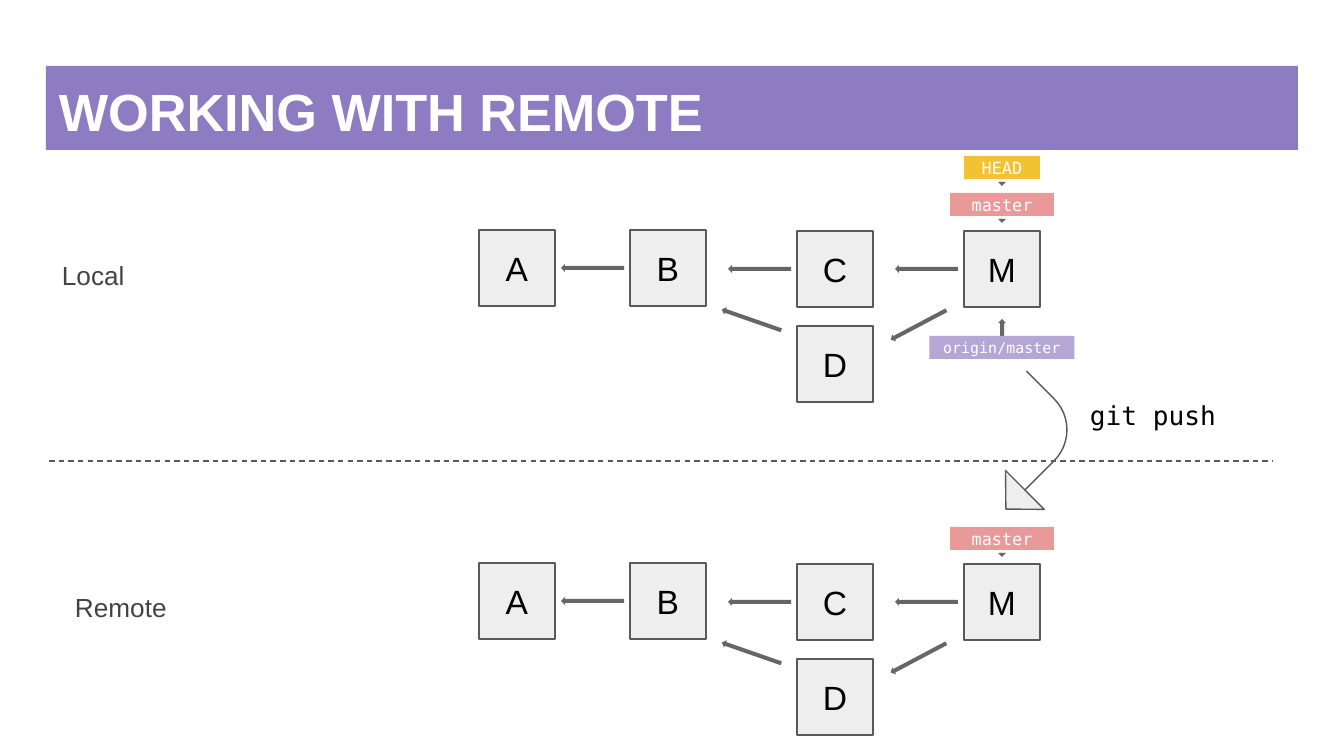
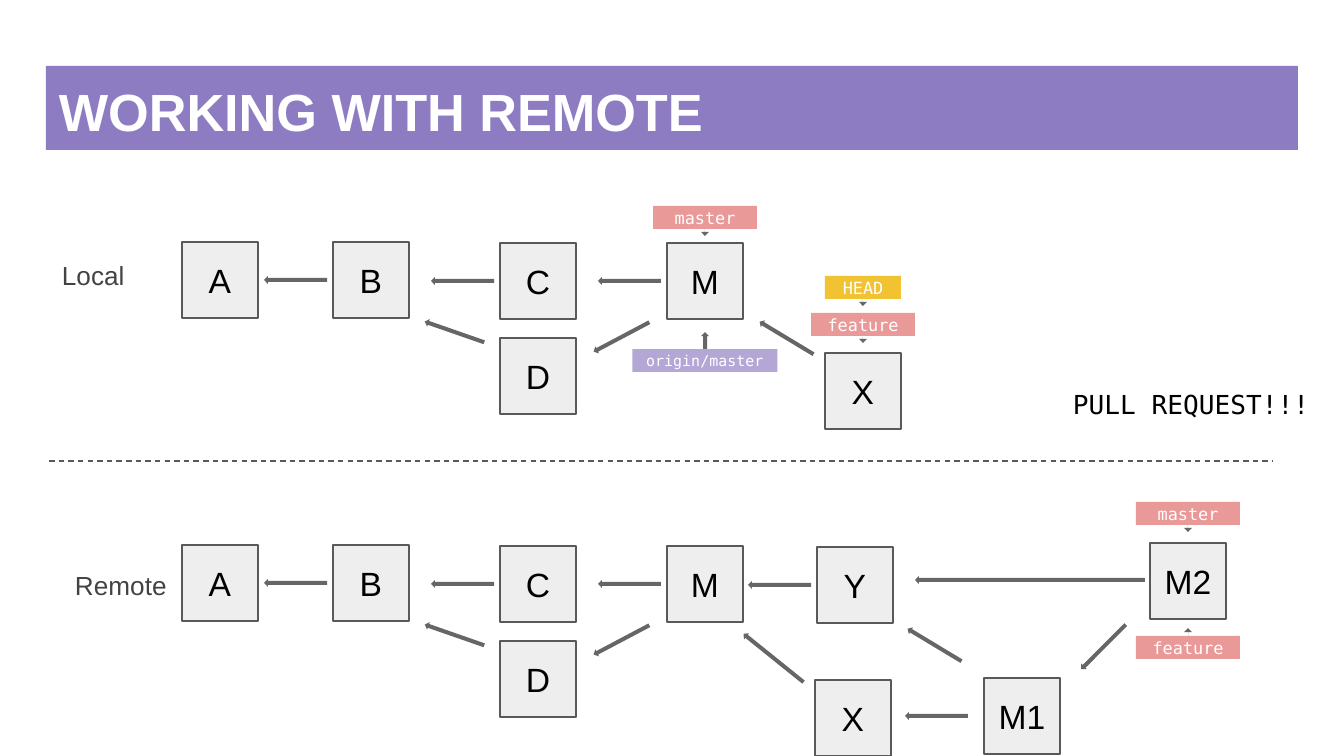
from lxml import etree
from pptx import Presentation
from pptx import util as u
from pptx.dml.color import RGBColor
from pptx.enum import dml, shapes, text
from pptx.oxml.ns import qn

# Shared look
PURPLE = RGBColor(0x8E, 0x7C, 0xC3)
LILAC = RGBColor(0xB4, 0xA7, 0xD6)
PINK = RGBColor(0xEA, 0x99, 0x99)
YELLOW = RGBColor(0xF1, 0xC2, 0x32)
PALE = RGBColor(0xEE, 0xEE, 0xEE)
OUTLINE = RGBColor(0x59, 0x59, 0x59)
ARROW = RGBColor(0x66, 0x66, 0x66)
DARK = RGBColor(0x43, 0x43, 0x43)
BLACK = RGBColor(0, 0, 0)
WHITE = RGBColor(0xFF, 0xFF, 0xFF)
SANS, MONO = "Arial", "DejaVu Sans Mono"

SCALE = 914400 / 134.4  # EMU per pixel
INSET = 13
COMMIT = 76             # side of a commit box
LABEL_HEIGHT = 23
ARROW_WIDTH = 8
ARROW_LENGTH = 63
POINTER_LENGTH = 17
LABEL_STEP = 37         # from one stacked label to the next


def px(length):
    return u.Emu(round(length * SCALE))


# Basic parts
def write(shape, words, size, font, color, bold=False, centred=False):
    frame = shape.text_frame
    frame.word_wrap = True
    frame.margin_left = frame.margin_right = px(INSET)
    frame.margin_top = frame.margin_bottom = px(INSET)
    middle, top = text.MSO_ANCHOR.MIDDLE, text.MSO_ANCHOR.TOP
    frame.vertical_anchor = middle if centred else top
    paragraph = frame.paragraphs[0]
    paragraph.alignment = text.PP_ALIGN.CENTER if centred else text.PP_ALIGN.LEFT
    run = paragraph.add_run()
    run.text = words
    run.font.size = u.Pt(size)
    run.font.name = font
    run.font.bold = bold
    run.font.color.rgb = color


def add_shape(slide, kind, left, top, width, height, fill, outlined=False):
    shape = slide.shapes.add_shape(kind, px(left), px(top), px(width), px(height))
    shape.shadow.inherit = False
    shape.fill.solid()
    shape.fill.fore_color.rgb = fill
    if outlined:
        shape.line.color.rgb = OUTLINE
        shape.line.width = u.Pt(0.75)
    else:
        shape.line.fill.background()
    return shape


def add_text(slide, left, top, width, height, words, font, color):
    box = slide.shapes.add_textbox(px(left), px(top), px(width), px(height))
    write(box, words, 14, font, color)


def add_commit(slide, left, top, name):
    box = add_shape(slide, shapes.MSO_SHAPE.RECTANGLE, left, top,
                    COMMIT, COMMIT, PALE, outlined=True)
    write(box, name, 18, SANS, BLACK, centred=True)


def add_parent_arrow(slide, left, top, rotation=0, length=ARROW_LENGTH):
    arrow = add_shape(slide, shapes.MSO_SHAPE.LEFT_ARROW, left, top,
                      length, ARROW_WIDTH, ARROW)
    arrow.rotation = rotation


def add_label(slide, centre, top, name, fill=PINK, width=104, size=9):
    label = add_shape(slide, shapes.MSO_SHAPE.RECTANGLE, centre - width / 2, top,
                      width, LABEL_HEIGHT, fill)
    write(label, name, size, MONO, WHITE, centred=True)


def add_pointer(slide, centre, top, shaft=0, upward=False):
    pointer = add_shape(slide, shapes.MSO_SHAPE.DOWN_ARROW, centre - ARROW_WIDTH / 2,
                        top, ARROW_WIDTH, POINTER_LENGTH, ARROW)
    pointer.adjustments[0] = shaft
    pointer.adjustments[1] = 0.5
    pointer.rotation = 180 if upward else 0


# Labels around a commit
def add_branch(slide, centre, top, name, head=False):
    add_pointer(slide, centre, top + 13)
    add_label(slide, centre, top, name)
    if head:
        add_pointer(slide, centre, top - LABEL_STEP + 13)
        add_label(slide, centre, top - LABEL_STEP, "HEAD", YELLOW, COMMIT)


def add_origin(slide, centre, top):
    add_pointer(slide, centre, top - POINTER_LENGTH, shaft=0.5, upward=True)
    add_label(slide, centre, top, "origin/master", LILAC, 145, 8)


# Commits A to M, with the merge through D
def add_history(slide, left, top):
    for name, x, y in (("A", 0, 0), ("B", 151, 0), ("C", 318, 1),
                       ("M", 485, 1), ("D", 318, 96)):
        add_commit(slide, left + x, top + y, name)
    for x, y, rotation in ((82, 34, 0), (249, 35, 0), (416, 35, 0),
                           (241, 86, 19.2), (408, 91, 332.1)):
        add_parent_arrow(slide, left + x, top + y, rotation)


# Title band, divider and the names of both halves
def add_frame(slide, remote_top):
    band = add_shape(slide, shapes.MSO_SHAPE.RECTANGLE, 46, 66, 1252, 84, PURPLE)
    write(band, "WORKING WITH REMOTE", 28, SANS, WHITE, bold=True)
    divider = slide.shapes.add_connector(shapes.MSO_CONNECTOR.STRAIGHT,
                                         px(49), px(461), px(1273), px(461))
    divider.line.color.rgb = OUTLINE
    divider.line.width = u.Pt(0.75)
    divider.line.dash_style = dml.MSO_LINE.DASH
    etree.SubElement(divider._element.spPr, qn("a:effectLst"))
    add_text(slide, 49, 246, 207, 54, "Local", SANS, DARK)
    add_text(slide, 62, remote_top, 207, 54, "Remote", SANS, DARK)


def add_push_arrow(slide, left, top):
    arrow = add_shape(slide, shapes.MSO_SHAPE.BENT_ARROW, left, top, 112, 110,
                      PALE, outlined=True)
    arrow.rotation = 135
    for index, value in enumerate((0, 0.25, 0.245, 0.398)):
        arrow.adjustments[index] = value
    add_text(slide, left + 107, top - 9, 176, 42, "git push", MONO, BLACK)


# Local commit X on its feature branch
def add_feature(slide, left, top):
    add_commit(slide, left, top, "X")
    add_parent_arrow(slide, left - 70, top - 19, 31.1)
    add_branch(slide, left + COMMIT / 2, top - 40, "feature", head=True)


# Remote commits Y to M2 after the pull request
def add_merged_feature(slide, left, top):
    for name, x, y in (("Y", 2, 4), ("X", 0, 137), ("M1", 169, 135), ("M2", 335, 0)):
        add_commit(slide, left + x, top + y, name)
    for x, y, rotation, length in ((-67, 38, 0, ARROW_LENGTH), (-80, 111, 38.8, 77),
                                   (90, 169, 0, ARROW_LENGTH),
                                   (88, 98, 31.1, ARROW_LENGTH),
                                   (100, 33, 0, 230), (257, 100, 315, ARROW_LENGTH)):
        add_parent_arrow(slide, left + x, top + y, rotation, length)
    centre = left + 335 + COMMIT / 2
    add_branch(slide, centre, top - 41, "master")
    add_pointer(slide, centre, top + 85, upward=True)
    add_label(slide, centre, top + 93, "feature")


# Slides
def add_push_slide(presentation):
    slide = presentation.slides.add_slide(presentation.slide_layouts[6])
    add_frame(slide, remote_top=578)
    add_history(slide, 479, 230)
    add_branch(slide, 1002, 193, "master", head=True)
    add_origin(slide, 1002, 336)
    add_push_arrow(slide, 970, 395)
    add_history(slide, 479, 563)
    add_branch(slide, 1002, 527, "master")


def add_pull_request_slide(presentation):
    slide = presentation.slides.add_slide(presentation.slide_layouts[6])
    add_frame(slide, remote_top=556)
    add_history(slide, 182, 242)
    add_branch(slide, 705, 206, "master")
    add_origin(slide, 705, 349)
    add_feature(slide, 825, 353)
    add_text(slide, 1060, 375, 278, 42, "PULL REQUEST!!!", MONO, BLACK)
    add_history(slide, 182, 545)
    add_merged_feature(slide, 815, 543)


presentation = Presentation()
presentation.slide_width = px(1344)
presentation.slide_height = px(756)
add_push_slide(presentation)
add_pull_request_slide(presentation)
presentation.save("out.pptx")
